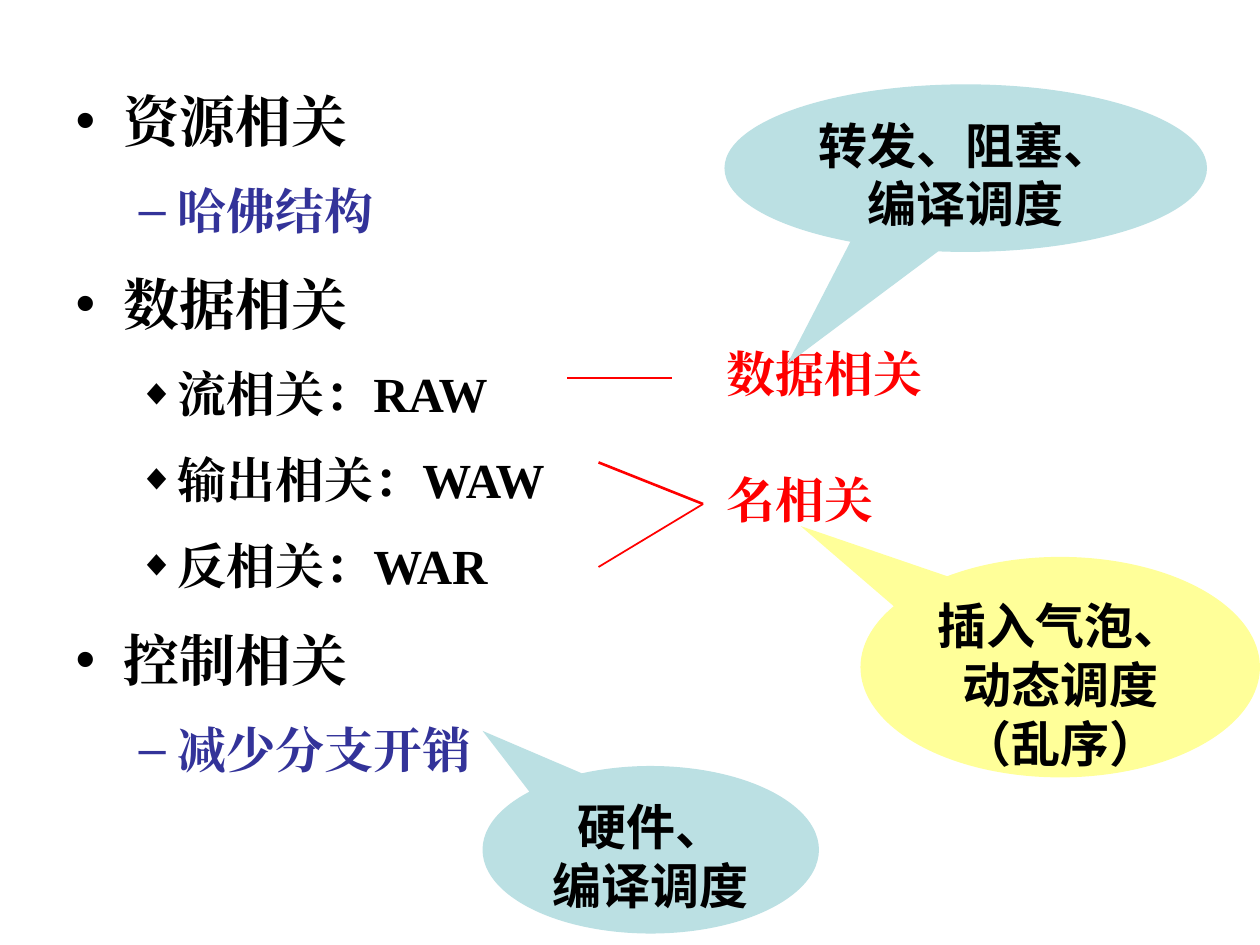
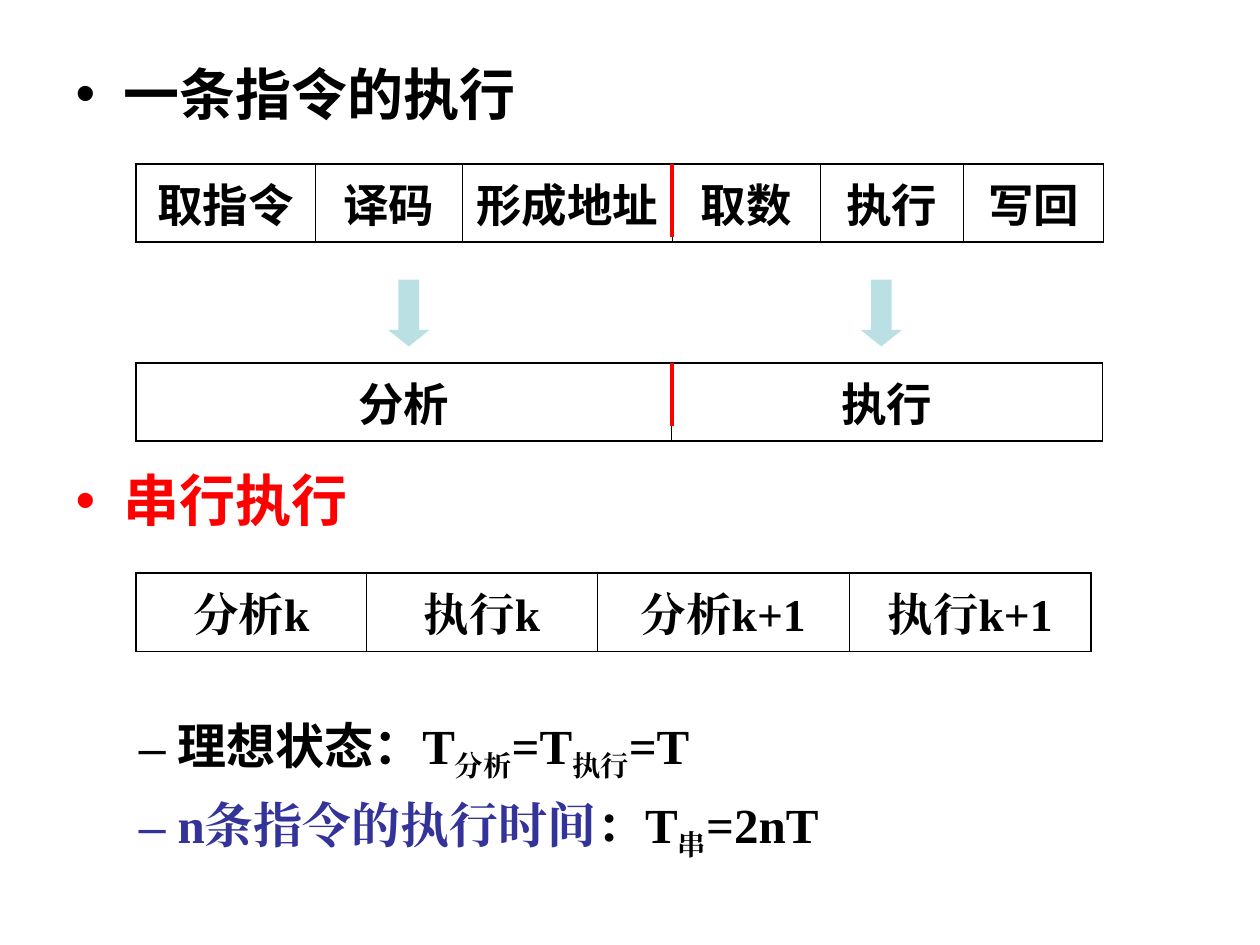
from dataclasses import dataclass
from typing import NamedTuple

from lxml.etree import SubElement as Sub
from pptx import Presentation
from pptx.dml.color import RGBColor as Rgb
from pptx.enum.shapes import MSO_CONNECTOR as Link, MSO_SHAPE as Form
from pptx.enum.text import MSO_ANCHOR as Anchor, MSO_AUTO_SIZE as Auto, PP_ALIGN as Align
from pptx.oxml.ns import qn
from pptx.util import Inches, Pt

HUES = {"ink": "000000", "blue": "333399", "red": "FF0000",
        "aqua": "BBE0E3", "lemon": "FFFF99", "paper": "FFFFFF"}
SERIF, SANS = "Times New Roman", "Arial"
LEFT = 1.08
SPLIT = 5.33


class Bit(NamedTuple):
    text: str
    hue: str = "ink"
    font: str = SERIF
    sub: bool = False


@dataclass
class Item:
    bits: list[Bit]
    level: int = 0
    mark: str = "•"
    gap: float | None = None


class Bubble(NamedTuple):
    box: tuple[float, float, float, float]
    tip: tuple[float, float]
    hue: str
    lines: list[str]


class Line(NamedTuple):
    start: tuple[float, float]
    end: tuple[float, float]
    width: float


class Grid(NamedTuple):
    top: float
    font: str
    cells: dict[str, float]


BUBBLES = [
    Bubble((3.83, 6.08, 2.67, 1.33), (-0.5, -0.71), "aqua", ["硬件、", "编译调度"]),
    Bubble((6.83, 4.42, 3.17, 1.75), (-0.65, -0.64), "lemon",
           ["插入气泡、", "动态调度", "（乱序）"]),
    Bubble((5.75, 0.67, 3.83, 1.33), (-0.37, 1.17), "aqua", ["转发、阻塞、", "编译调度"]),
]
LINKS = [
    Line((4.75, 3.67), (5.58, 4), 1.5),
    Line((4.75, 4.5), (5.58, 4), 1),
    Line((4.5, 3), (5.33, 3), 0.75),
]
STAGES = Grid(1.3, SANS, {"取指令": 1.42, "译码": 1.17, "形成地址": 1.67,
                          "取数": 1.17, "执行": 1.14, "写回": 1.11})
PHASES = Grid(2.88, SANS, {"分析": 4.25, "执行": 3.42})
SERIES = Grid(4.55, SERIF, {"分析k": 1.83, "执行k": 1.83, "分析k+1": 2, "执行k+1": 1.92})


def tint(name: str) -> Rgb:
    return Rgb.from_string(HUES[name])


def write(para, text: str, *, size: float, font: str = SERIF,
          hue: str = "ink", sub: bool = False) -> None:
    run = para.add_run()
    run.text = text
    run.font.size = Pt(size)
    run.font.bold = True
    run.font.color.rgb = tint(hue)
    run.font.name = font
    props = run._r.get_or_add_rPr()
    Sub(props, qn("a:ea")).set("typeface", font)
    if sub:
        props.set("baseline", "-25000")


def bullet(para, item: Item) -> None:
    props = para._p.get_or_add_pPr()
    left, hang = [(0.38, 0.38), (0.81, 0.31)][item.level]
    props.set("marL", str(Inches(left)))
    props.set("indent", str(-Inches(hang)))
    color = Sub(props, qn("a:buClr"))
    Sub(color, qn("a:srgbClr")).set("val", HUES[item.bits[0].hue])
    if item.mark == "◆":
        Sub(props, qn("a:buSzPct")).set("val", "75000")
    Sub(props, qn("a:buChar")).set("char", item.mark)


def outline(slide, box: tuple[float, ...], items: list[Item], pitch: float) -> None:
    """Fill the body placeholder with a bulleted list."""
    title, body = slide.placeholders
    title._element.getparent().remove(title._element)
    body.left, body.top, body.width, body.height = map(Inches, box)
    frame = body.text_frame
    frame.auto_size = Auto.NONE
    for i, item in enumerate(items):
        para = frame.add_paragraph() if i else frame.paragraphs[0]
        para.level = item.level
        bullet(para, item)
        para.line_spacing = pitch
        gap = 8 - item.level if item.gap is None else item.gap
        para.space_before = Pt(gap if i else 0)
        for bit in item.bits:
            write(para, bit.text, size=32 - 4 * item.level,
                  font=bit.font, hue=bit.hue, sub=bit.sub)


def solid(slide, form: Form, box: tuple[float, ...], hue: str, turns: tuple[float, ...]):
    """Add a filled preset shape without an outline."""
    shape = slide.shapes.add_shape(form, *map(Inches, box))
    shape.shadow.inherit = False
    shape.fill.solid()
    shape.fill.fore_color.rgb = tint(hue)
    shape.line.fill.background()
    for i, turn in enumerate(turns):
        shape.adjustments[i] = turn
    return shape


def balloon(slide, spec: Bubble) -> None:
    shape = solid(slide, Form.OVAL_CALLOUT, spec.box, spec.hue, spec.tip)
    frame = shape.text_frame
    frame.word_wrap = True
    frame.vertical_anchor = Anchor.TOP
    for i, text in enumerate(spec.lines):
        para = frame.add_paragraph() if i else frame.paragraphs[0]
        para.alignment = Align.CENTER
        write(para, text, size=28, font=SANS)


def label(slide, text: str, top: float, width: float) -> None:
    box = slide.shapes.add_textbox(*map(Inches, (5.67, top, width, 0.57)))
    box.text_frame.word_wrap = True
    write(box.text_frame.paragraphs[0], text, size=28, hue="red")


def link(slide, spec: Line) -> None:
    line = slide.shapes.add_connector(Link.STRAIGHT, *map(Inches, spec.start + spec.end))
    line.line.color.rgb = tint("red")
    line.line.width = Pt(spec.width)
    Sub(line._element.spPr, qn("a:effectLst"))


def border(cell, side: str, width: float) -> None:
    line = Sub(cell._tc.get_or_add_tcPr(), qn(f"a:ln{side}"))
    line.set("w", str(Pt(width)))
    fill = Sub(line, qn("a:solidFill"))
    Sub(fill, qn("a:srgbClr")).set("val", HUES["ink"])


def strip(slide, spec: Grid) -> None:
    """Draw a one-row table with a heavier outer frame."""
    count, high = len(spec.cells), 0.62
    total = sum(spec.cells.values())
    box = map(Inches, (LEFT, spec.top, total, high))
    table = slide.shapes.add_table(1, count, *box).table
    table.first_row = table.horz_banding = False
    for i, (text, width) in enumerate(spec.cells.items()):
        table.columns[i].width = Inches(width)
        cell = table.cell(0, i)
        thick = {"L": i == 0, "R": i == count - 1, "T": True, "B": True}
        for side, heavy in thick.items():
            border(cell, side, 1.08 if heavy else 0.45)
        cell.fill.solid()
        cell.fill.fore_color.rgb = tint("paper")
        cell.margin_top = Inches(0.14)
        para = cell.text_frame.paragraphs[0]
        para.alignment = Align.CENTER
        write(para, text, size=26, font=spec.font)


def hazards(slide) -> None:
    outline(slide, (0.5, 0.5, 9, 6.58), [
        Item([Bit("资源相关")]),
        Item([Bit("哈佛结构", "blue")], 1, "–"),
        Item([Bit("数据相关")]),
        *(Item([Bit(text)], 1, "◆")
          for text in ("流相关：RAW", "输出相关：WAW", "反相关：WAR")),
        Item([Bit("控制相关")]),
        Item([Bit("减少分支开销", "blue")], 1, "–"),
    ], 1.25)
    label(slide, "名相关", 3.68, 1.75)
    for spec in LINKS:
        link(slide, spec)
    label(slide, "数据相关", 2.68, 2)
    for spec in BUBBLES:
        balloon(slide, spec)


def serial(slide) -> None:
    outline(slide, (0.5, 0.42, 9, 6.42), [
        Item([Bit("一条指令的执行", font=SANS)]),
        Item([Bit("串行执行", "red", SANS)], gap=194),
        Item([Bit("理想状态：", font=SANS), Bit("T"), Bit("分析", sub=True),
              Bit("=T"), Bit("执行", sub=True), Bit("=T")], 1, "–", 104),
        Item([Bit("n条指令的执行时间", "blue"), Bit("：T"),
              Bit("串", sub=True), Bit("=2nT")], 1, "–"),
    ], 1)
    for spec in (STAGES, PHASES, SERIES):
        strip(slide, spec)
    for left in (3.08, 6.83):
        solid(slide, Form.DOWN_ARROW, (left, 2.22, 0.33, 0.53), "aqua", (0.5, 0.4))
    for top, end in ((STAGES.top, 1.88), (PHASES.top, 3.38)):
        link(slide, Line((SPLIT, top), (SPLIT, end), 2.25))


def main() -> None:
    deck = Presentation()
    deck.slide_width, deck.slide_height = Inches(10), Inches(7.5)
    for draw in (hazards, serial):
        draw(deck.slides.add_slide(deck.slide_layouts[1]))
    deck.save("out.pptx")


if __name__ == "__main__":
    main()
